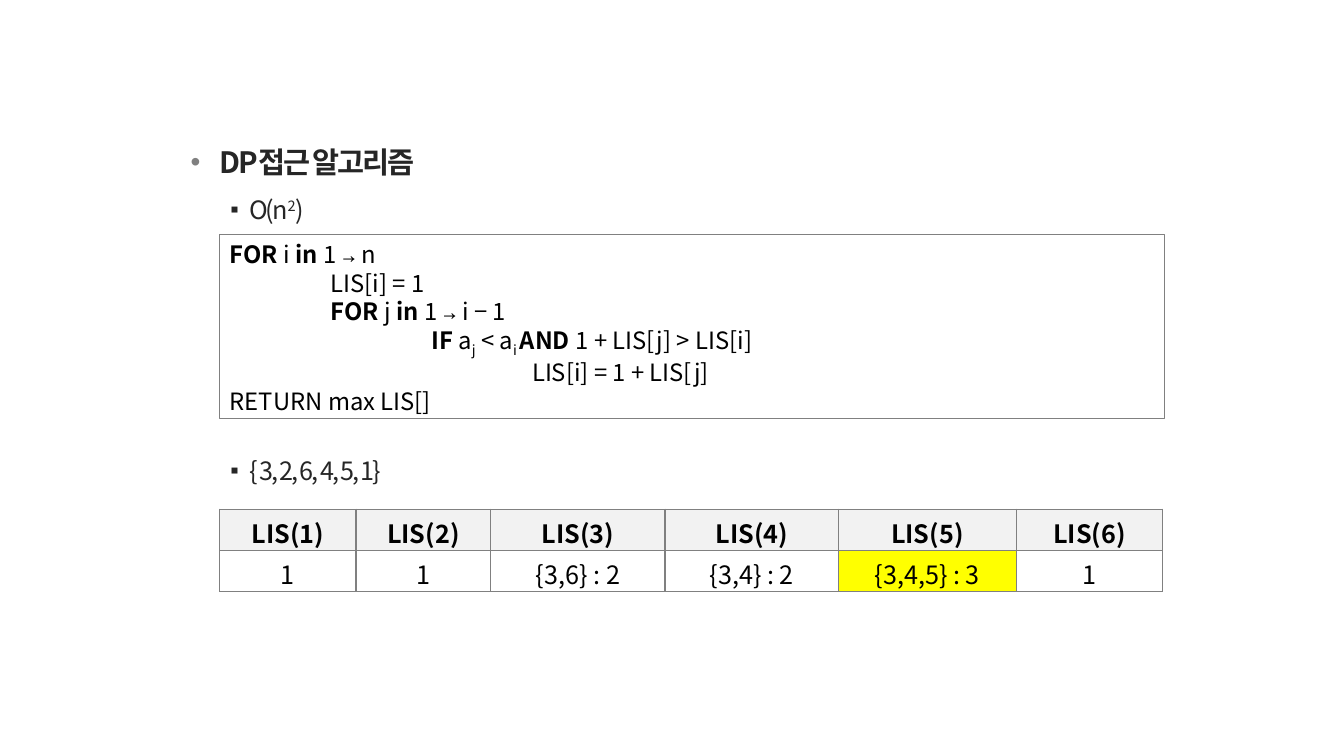
from dataclasses import dataclass

from lxml import etree
from pptx import Presentation, util as u
from pptx.dml.color import RGBColor
from pptx.enum import shapes, text
from pptx.oxml import ns

BLACK = RGBColor(0x00, 0x00, 0x00)
CHARCOAL = RGBColor(0x26, 0x26, 0x26)
GRAY = RGBColor(0x80, 0x80, 0x80)
PALE = RGBColor(0xF2, 0xF2, 0xF2)
WHITE = RGBColor(0xFF, 0xFF, 0xFF)
YELLOW = RGBColor(0xFF, 0xFF, 0x00)
FONT = "Noto Sans CJK KR"
ARROW_FONT = "Noto Sans Mono"


@dataclass(frozen=True)
class Span:
    text: str
    bold: bool = False
    baseline: int = 0
    font: str = FONT


@dataclass(frozen=True)
class Bullet:
    spans: tuple[Span, ...]
    char: str
    size: int
    level: int
    margin: float
    hang: float
    before: int = 0
    color: RGBColor = CHARCOAL


def keyword(word: str) -> Span:
    return Span(word, bold=True)


ARROW = Span("→", bold=True, font=ARROW_FONT)
BULLETS = (
    Bullet((keyword("DP접근 알고리즘"),), "•", 21, 0, 0.74, 0.74, color=GRAY),
    Bullet((Span("O(n"), Span("2", baseline=30), Span(")")), "▪", 18, 1, 1.48, 0.48,
           before=6),
    Bullet((Span("{ 3, 2, 6, 4, 5, 1}"),), "▪", 18, 1, 1.48, 0.48, before=161),
)
CODE = (
    (keyword("FOR "), Span("i "), keyword("in "), Span("1 "), ARROW, Span(" n")),
    (Span("\tLIS[i] = 1"),),
    (keyword("\tFOR "), Span("j "), keyword("in "), Span("1 "), ARROW, Span(" i − 1")),
    (keyword("\t\tIF "), Span("a"), Span("j", baseline=-25), Span(" < a"),
     Span("i ", baseline=-25), keyword("AND "), Span("1 + LIS[j] > LIS[i]")),
    (Span("\t\t\tLIS[i] = 1 + LIS[j]"),),
    (Span("RETURN max LIS[]"),),
)
COLUMN_WIDTHS = (3.43, 3.4, 4.39, 4.37, 4.48, 3.69)
ROW_HEIGHT = 1.03
RESULTS = ("1", "1", "{3,6} : 2", "{3,4} : 2", "{3,4,5} : 3", "1")
LONGEST = "{3,4,5} : 3"


def add_xml(parent, tag: str, **attributes: str):
    return etree.SubElement(parent, ns.qn(tag), attributes)


def style_run(run, size: int, color: RGBColor, bold: bool, font: str = FONT) -> None:
    run.font.size = u.Pt(size)
    run.font.bold = bold
    run.font.color.rgb = color
    run.font.name = font
    add_xml(run.font._element, "a:ea", typeface=font)


def add_spans(para, spans: tuple[Span, ...], size: int, color: RGBColor,
              spacing: int = 0) -> None:
    for span in spans:
        run = para.add_run()
        run.text = span.text
        style_run(run, size, color, span.bold, span.font)
        if span.baseline:
            run.font._element.set("baseline", str(span.baseline * 1000))
        if spacing:
            run.font._element.set("spc", str(spacing))


def paragraph_at(frame, index: int):
    return frame.add_paragraph() if index else frame.paragraphs[0]


def fill_outline(page) -> None:
    box = page.placeholders[1]
    box.left, box.top = u.Cm(4.55), u.Cm(3.33)
    box.width, box.height = u.Cm(24.77), u.Cm(11.71)
    frame = box.text_frame
    frame.auto_size = text.MSO_AUTO_SIZE.NONE
    frame.vertical_anchor = text.MSO_ANCHOR.TOP
    for index, bullet in enumerate(BULLETS):
        para = paragraph_at(frame, index)
        para.level = bullet.level
        para.line_spacing = 1.2
        para.space_before = u.Pt(bullet.before)
        add_spans(para, bullet.spans, bullet.size, CHARCOAL, spacing=-150)
        props = para._p.get_or_add_pPr()
        props.set("marL", str(u.Cm(bullet.margin)))
        props.set("indent", str(-u.Cm(bullet.hang)))
        add_xml(add_xml(props, "a:buClr"), "a:srgbClr", val=str(bullet.color))
        add_xml(props, "a:buSzPct", val="95000")
        add_xml(props, "a:buChar", char=bullet.char)


def add_code_box(page) -> None:
    box = page.shapes.add_shape(shapes.MSO_SHAPE.RECTANGLE, u.Cm(5.54), u.Cm(5.92),
                                u.Cm(23.8), u.Cm(4.62))
    box.shadow.inherit = False
    box.fill.solid()
    box.fill.fore_color.rgb = WHITE
    box.line.color.rgb = GRAY
    box.line.width = u.Pt(0.75)
    frame = box.text_frame
    frame.word_wrap = True
    frame.vertical_anchor = text.MSO_ANCHOR.TOP
    for index, spans in enumerate(CODE):
        para = paragraph_at(frame, index)
        para.alignment = text.PP_ALIGN.LEFT
        para._p.get_or_add_pPr().set("defTabSz", str(u.Cm(2.54)))
        add_spans(para, spans, 17, BLACK)


def style_cell(cell, label: str, bold: bool, fill: RGBColor) -> None:
    props = cell._tc.get_or_add_tcPr()
    for side in ("a:lnL", "a:lnR", "a:lnT", "a:lnB"):
        border = add_xml(props, side, w=str(u.Pt(1)))
        add_xml(add_xml(border, "a:solidFill"), "a:srgbClr", val=str(GRAY))
    cell.fill.solid()
    cell.fill.fore_color.rgb = fill
    cell.margin_left = cell.margin_right = u.Cm(0.28)
    cell.margin_top, cell.margin_bottom = u.Cm(0.12), u.Cm(0)
    para = cell.text_frame.paragraphs[0]
    para.text = label
    para.alignment = text.PP_ALIGN.CENTER
    style_run(para.runs[0], 18, BLACK, bold)


def add_result_table(page) -> None:
    table = page.shapes.add_table(2, len(RESULTS), u.Cm(5.54), u.Cm(12.83),
                                  u.Cm(sum(COLUMN_WIDTHS)), u.Cm(2 * ROW_HEIGHT)).table
    for row in table.rows:
        row.height = u.Cm(ROW_HEIGHT)
    for index, (width, result) in enumerate(zip(COLUMN_WIDTHS, RESULTS)):
        table.columns[index].width = u.Cm(width)
        style_cell(table.cell(0, index), f"LIS({index + 1})", True, PALE)
        style_cell(table.cell(1, index), result, False,
                   YELLOW if result == LONGEST else WHITE)


def main() -> None:
    deck = Presentation()
    deck.slide_width, deck.slide_height = u.Cm(33.87), u.Cm(19.05)
    page = deck.slides.add_slide(deck.slide_layouts[1])
    title = page.shapes.title.element
    title.getparent().remove(title)
    fill_outline(page)
    add_code_box(page)
    add_result_table(page)
    deck.save("out.pptx")


if __name__ == "__main__":
    main()
